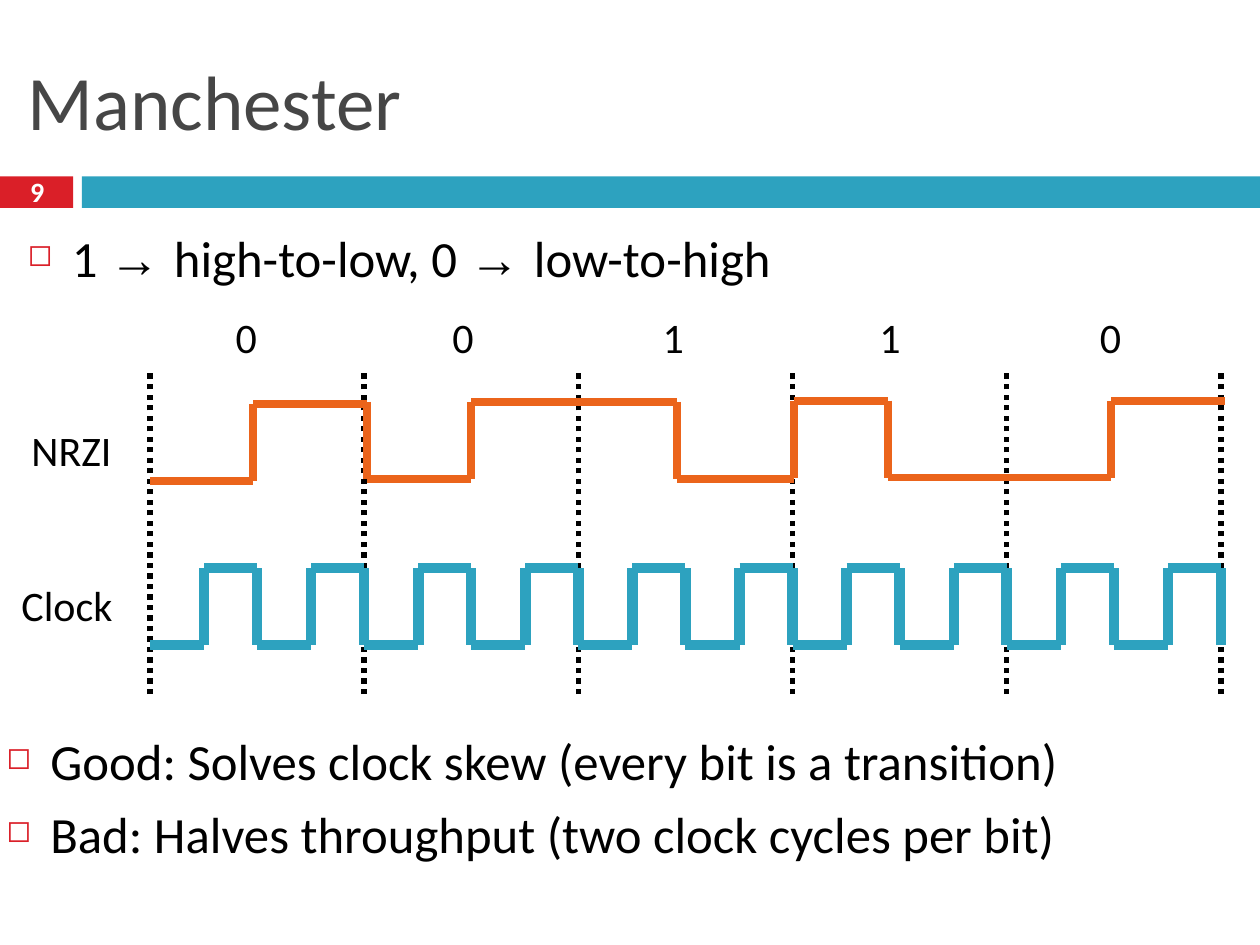
import pptx
import pptx.util
import pptx.dml.color
import pptx.enum.dml
import pptx.enum.shapes
import pptx.enum.text
import pptx.oxml.ns
from lxml import etree

Inches = pptx.util.Inches
Pt = pptx.util.Pt
RGBColor = pptx.dml.color.RGBColor
Align = pptx.enum.text.PP_ALIGN
Anchor = pptx.enum.text.MSO_ANCHOR
Fit = pptx.enum.text.MSO_AUTO_SIZE
qn = pptx.oxml.ns.qn

RED = RGBColor(0xDA, 0x1F, 0x28)
BLUE = RGBColor(0x2D, 0xA2, 0xBF)
ORANGE = RGBColor(0xEB, 0x64, 0x1B)
GREY = RGBColor(0x46, 0x46, 0x46)
BLACK = RGBColor(0, 0, 0)
WHITE = RGBColor(0xFF, 0xFF, 0xFF)

LEFT, BIT, COUNT = 1.19, 1.7, 5
# bit, x of its label, x of its transition, y of its high level
BITS = [
    ("0", 1.82, 2.01, 3.21),
    ("0", 3.54, 3.74, 3.19),
    ("1", 5.21, 5.37, 3.19),
    ("1", 6.93, 7.05, 3.18),
    ("0", 8.68, 8.82, 3.18),
]
EDGES = [1.19, 2.91, 4.63, 6.3, 8.0, 9.72]
SWING = 0.61


def add_bar(slide, left, width, color):
    bar = slide.shapes.add_shape(
        pptx.enum.shapes.MSO_SHAPE.RECTANGLE,
        Inches(left), Inches(1.4), Inches(width), Inches(0.25))
    bar.shadow.inherit = False
    bar.fill.solid()
    bar.fill.fore_color.rgb = color
    bar.line.fill.background()


def add_text(slide, box, lines, size, color=BLACK, wrap=True, anchor=Anchor.TOP):
    """Add a text box; each line is a list of run texts."""
    frame = slide.shapes.add_textbox(*map(Inches, box)).text_frame
    frame.word_wrap = wrap
    frame.vertical_anchor = anchor
    frame.margin_left = frame.margin_right = Inches(0.05)
    frame.margin_top = frame.margin_bottom = Inches(0.05)
    for i, parts in enumerate(lines):
        para = frame.paragraphs[0] if i == 0 else frame.add_paragraph()
        for part in parts:
            run = para.add_run()
            run.text = part
            run.font.name = "Arial" if "→" in part else "Calibri"
            run.font.size = Pt(size)
            run.font.color.rgb = color
    return frame


def add_label(slide, text, left, top, width):
    frame = add_text(slide, (left, top, width, 0.48), [[text]], 24, wrap=False)
    frame.auto_size = Fit.SHAPE_TO_FIT_TEXT


def add_list(slide, box, lines):
    for para in add_text(slide, box, lines, 29).paragraphs:
        para.space_before = Pt(7)
        props = para._p.get_or_add_pPr()
        props.set("marL", str(Inches(0.35)))
        props.set("indent", str(-Inches(0.35)))
        color = etree.SubElement(props, qn("a:buClr"))
        etree.SubElement(color, qn("a:srgbClr"), val=str(RED))
        etree.SubElement(props, qn("a:buSzPct"), val="60000")
        etree.SubElement(props, qn("a:buChar"), char="◻")


def add_line(slide, start, end, color, width):
    line = slide.shapes.add_connector(
        pptx.enum.shapes.MSO_CONNECTOR.STRAIGHT, *map(Inches, (*start, *end)))
    line.line.color.rgb = color
    line.line.width = Pt(width)
    etree.SubElement(line._element.spPr, qn("a:effectLst"))
    return line


def add_wave(slide, points, color, width):
    for start, end in zip(points, points[1:]):
        add_line(slide, start, end, color, width)


def add_grid(slide):
    for i in range(COUNT + 1):
        x = LEFT + i * BIT
        line = add_line(slide, (x, 5.51), (x, 2.93), BLACK, 3)
        line.line.dash_style = pptx.enum.dml.MSO_LINE.ROUND_DOT


def add_clock(slide):
    """Draw two cycles per bit, each low and then high."""
    low, high, cycle = 5.12, 4.51, BIT / 2
    points = [(LEFT, low)]
    for i in range(2 * COUNT):
        x = LEFT + i * cycle
        rise, fall = x + 0.43, x + cycle
        points += [(rise, low), (rise, high), (fall, high), (fall, low)]
    add_wave(slide, points[:], BLUE, 6)


def add_data(slide):
    """Draw a rise in mid-bit for 0 and a fall for 1."""
    last = None
    for (bit, label, mid, high), start, end in zip(BITS, EDGES, EDGES[1:]):
        low = high + SWING
        first, second = (low, high) if bit == "0" else (high, low)
        points = [(start, first), (mid, first), (mid, second), (end, second)]
        if last and last != bit:
            add_wave(slide, points, ORANGE, 4.5)
        elif last:
            add_wave(slide, [(start, high)] + points, ORANGE, 4.5)
        else:
            add_wave(slide, points, ORANGE, 4.5)
        if bit == "1" and last == "1":
            add_line(slide, (start, high), (start, low), ORANGE, 4.5)
        add_label(slide, bit, label, 2.42, 0.3)
        last = bit


def main():
    deck = pptx.Presentation()
    deck.slide_width, deck.slide_height = Inches(10), Inches(7.5)
    slide = deck.slides.add_slide(deck.slide_layouts[6])
    add_bar(slide, 0, 0.58, RED)
    add_bar(slide, 0.65, 9.35, BLUE)
    add_text(slide, (0.17, 0.25, 9.67, 1.08), [["Manchester"]], 44, GREY,
             anchor=Anchor.MIDDLE)
    number = add_text(slide, (0.18, 1.37, 0.23, 0.35), [["9"]], 16, WHITE,
                      wrap=False, anchor=Anchor.MIDDLE).paragraphs[0]
    number.alignment = Align.CENTER
    number.line_spacing = 0.8
    number.runs[0].font.bold = True
    add_list(slide, (0.17, 1.75, 9.67, 0.67),
             [["1 ", "→ ", "high-to-low, 0 ", "→ ", "low-to-high"]])
    add_grid(slide)
    add_clock(slide)
    add_label(slide, "Clock", 0.12, 4.55, 0.84)
    add_label(slide, "NRZI", 0.2, 3.32, 0.74)
    add_data(slide)
    add_list(slide, (0, 5.74, 10, 1.47), [
        ["Good: Solves clock skew (every bit is a transition)"],
        ["Bad: Halves throughput (two clock cycles per bit)"],
    ])
    deck.save("out.pptx")


if __name__ == "__main__":
    main()
